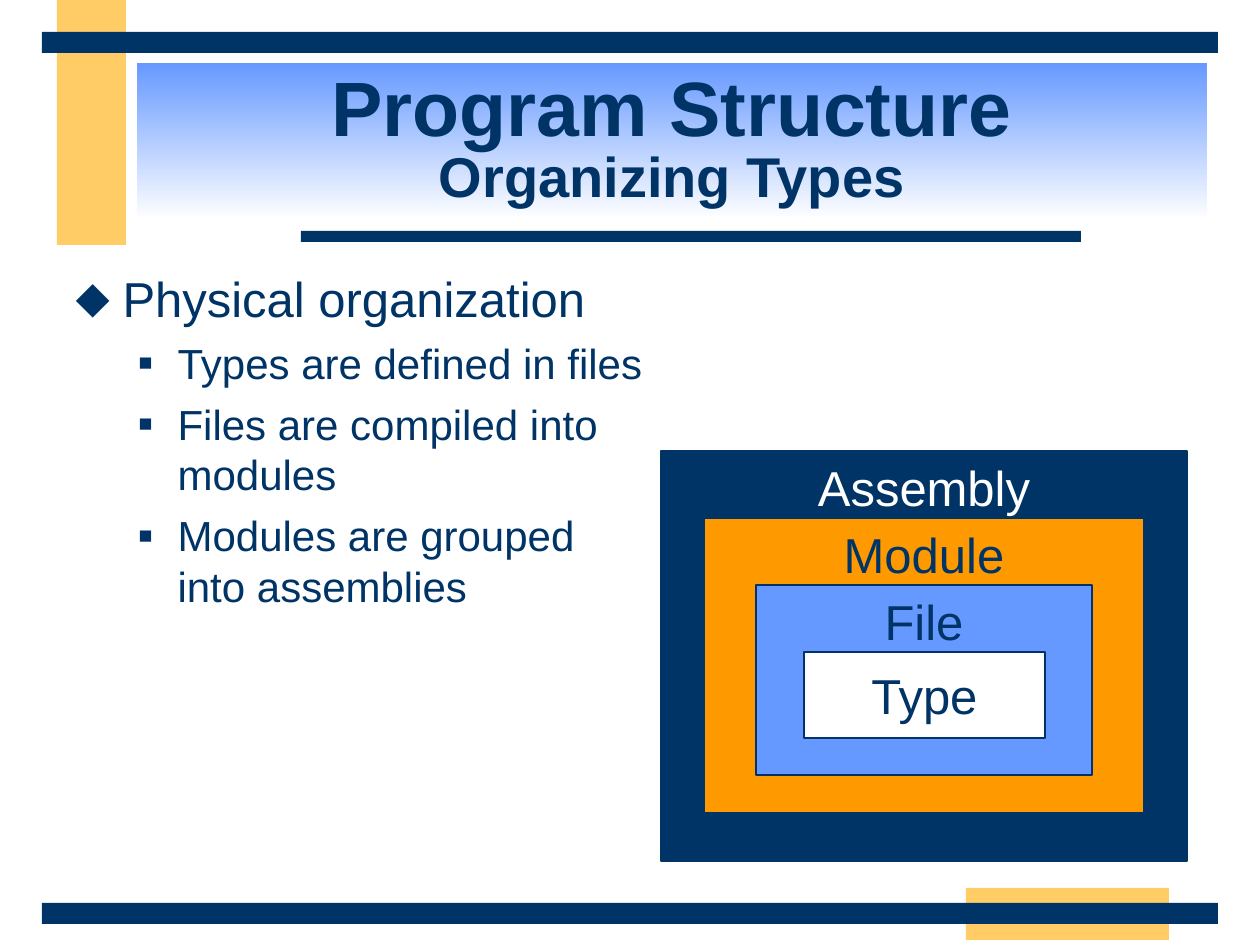
from lxml.etree import SubElement
from pptx import Presentation
from pptx.dml.color import RGBColor
from pptx.enum.shapes import MSO_SHAPE as Shape
from pptx.enum.text import MSO_ANCHOR as Anchor, MSO_AUTO_SIZE as AutoSize, PP_ALIGN as Align
from pptx.oxml.ns import qn
from pptx.util import Emu, Pt

PX = 914400 // 126
NAVY = RGBColor(0x00, 0x33, 0x66)
BLUE = RGBColor(0x66, 0x99, 0xFF)
ORANGE = RGBColor(0xFF, 0x99, 0x00)
SAND = RGBColor(0xFF, 0xCC, 0x66)
WHITE = RGBColor(0xFF, 0xFF, 0xFF)

# Content: boxes are left, top, width, height in px
TITLE = [("Program Structure", 44), ("Organizing Types", 32)]
TITLE_BOX = (137, 63, 1070, 157)
BODY_BOX = (63, 262, 1134, 620)
BULLETS = [
    (0, "Physical organization"),
    (1, "Types are defined in files"),
    (1, "Files are compiled into\vmodules"),
    (1, "Modules are grouped\vinto assemblies"),
]
# Per level: text size, left margin px, hanging px, space before, bullet, bullet size %
LEVELS = [(28, 47, 47, 7, "⬥", 100), (24, 102, 39, 6, "■", 55)]
BANDS = [
    ((57, 0, 69, 245), SAND),
    ((966, 888, 203, 52), SAND),
    ((301, 231, 780, 11), NAVY),
    ((42, 903, 1176, 21), NAVY),
    ((42, 32, 1176, 21), NAVY),
]
NESTED = [
    ("Assembly", (661, 451, 526, 410), NAVY, WHITE, Anchor.TOP),
    ("Module", (704, 518, 440, 295), ORANGE, NAVY, Anchor.TOP),
    ("File", (756, 585, 336, 190), BLUE, NAVY, Anchor.TOP),
    ("Type", (804, 652, 241, 86), WHITE, NAVY, Anchor.MIDDLE),
]


def emu(box):
    return [Emu(v * PX) for v in box]


def place(shape, box):
    shape.left, shape.top, shape.width, shape.height = emu(box)


def add_rect(shapes, box, color):
    rect = shapes.add_shape(Shape.RECTANGLE, *emu(box))
    rect.shadow.inherit = False
    rect.fill.solid()
    rect.fill.fore_color.rgb = color
    rect.line.fill.background()
    return rect


def style(run, size, color=NAVY, bold=False):
    run.font.name = "Arial"
    run.font.size = Pt(size)
    run.font.color.rgb = color
    run.font.bold = bold


def add_bullet(paragraph, char, percent, margin, hanging):
    props = paragraph._p.get_or_add_pPr()
    props.set("marL", str(margin * PX))
    props.set("indent", str(-hanging * PX))
    color = SubElement(props, qn("a:buClr"))
    SubElement(color, qn("a:srgbClr"), val=str(NAVY))
    SubElement(props, qn("a:buSzPct"), val=str(percent * 1000))
    SubElement(props, qn("a:buFont"), typeface="Arial")
    SubElement(props, qn("a:buChar"), char=char)


prs = Presentation()
prs.slide_width, prs.slide_height = emu((1260, 945))
slide = prs.slides.add_slide(prs.slide_layouts[1])  # title and content

# Decorative bands
for box, color in BANDS:
    add_rect(slide.shapes, box, color)

# Title on a gradient
title = slide.shapes.title
place(title, TITLE_BOX)
title.fill.gradient()
title.fill.gradient_angle = 270
for stop, color in zip(title.fill.gradient_stops, (BLUE, WHITE)):
    stop.color.rgb = color
heading = title.text_frame
heading.auto_size = AutoSize.NONE
heading.vertical_anchor = Anchor.MIDDLE
heading.text = "\v".join(text for text, _ in TITLE)
heading.paragraphs[0].alignment = Align.CENTER
heading.paragraphs[0].line_spacing = 0.85
for run, (_, size) in zip(heading.paragraphs[0].runs, TITLE):
    style(run, size, bold=True)

# Bullet list
body = slide.placeholders[1]
place(body, BODY_BOX)
body.text_frame.auto_size = AutoSize.NONE
body.text_frame.text = "\n".join(text for _, text in BULLETS)
for i, (paragraph, (level, _)) in enumerate(zip(body.text_frame.paragraphs, BULLETS)):
    size, margin, hanging, before, char, percent = LEVELS[level]
    paragraph.level = level
    add_bullet(paragraph, char, percent, margin, hanging)
    paragraph.space_before = Pt(before if i else 0)
    for run in paragraph.runs:
        style(run, size)

# Nested containers
nest = slide.shapes.add_group_shape()
for label, box, fill, ink, anchor in NESTED:
    container = add_rect(nest.shapes, box, fill)
    container.line.color.rgb = NAVY
    container.line.width = Pt(0.75)
    frame = container.text_frame
    frame.word_wrap = False
    frame.vertical_anchor = anchor
    frame.text = label
    frame.paragraphs[0].alignment = Align.CENTER
    style(frame.paragraphs[0].runs[0], 28, ink)

prs.save("out.pptx")
